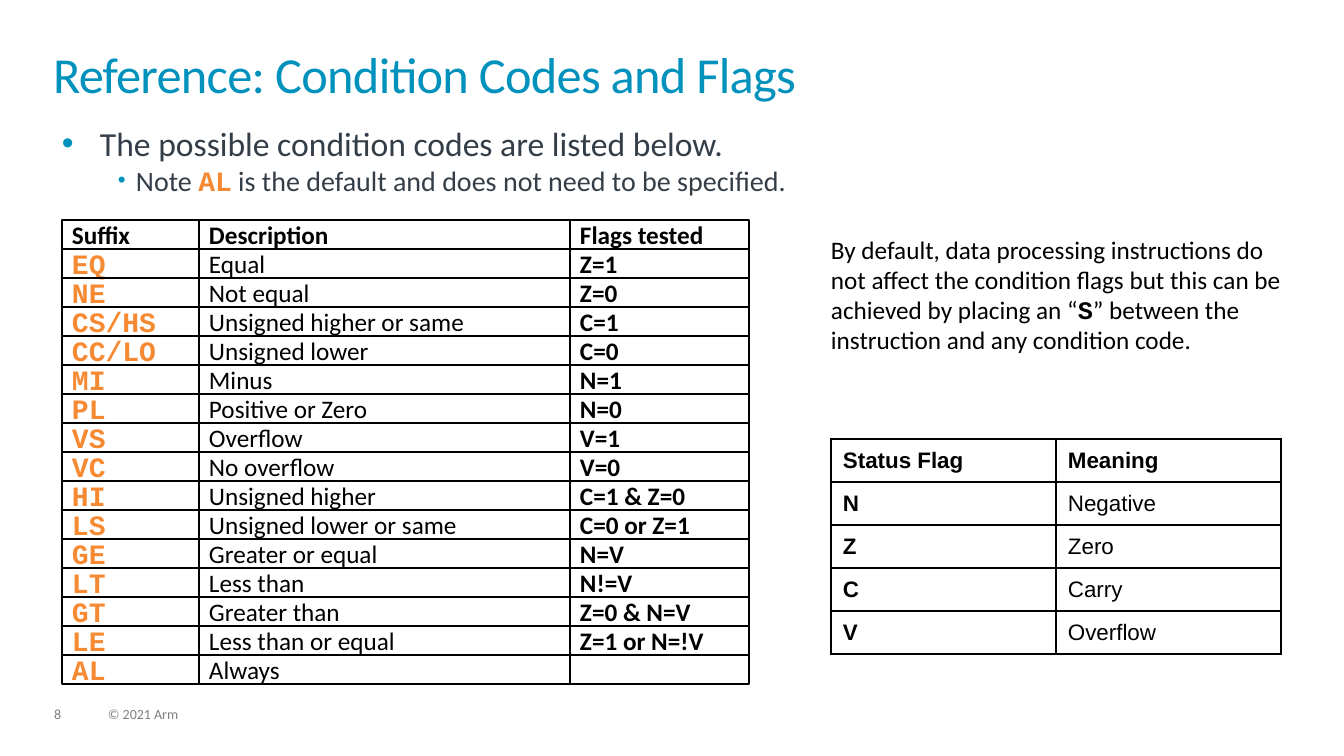
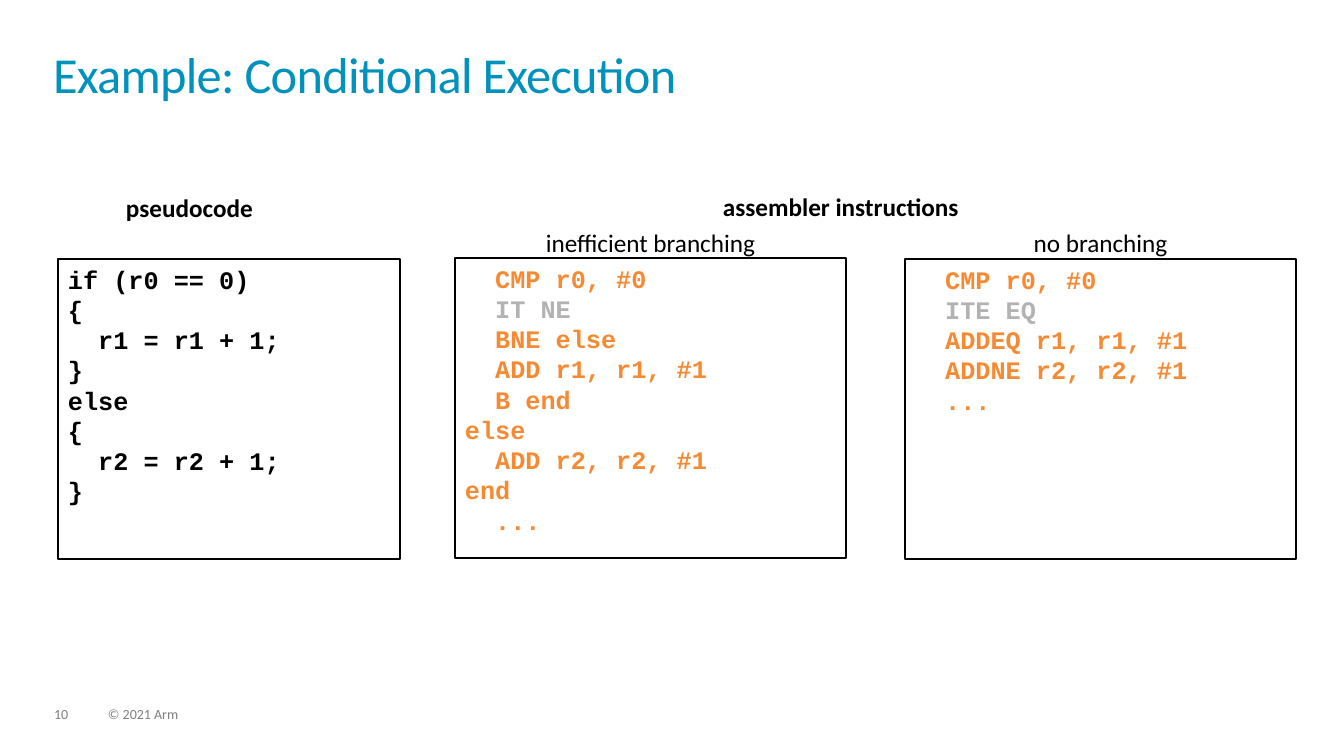
"""Build two reference slides on condition codes and conditional execution."""
from lxml import etree
from pptx import Presentation
from pptx import util as u
from pptx.dml.color import RGBColor
from pptx.enum import shapes, text
from pptx.oxml import ns

SCALE = 914400 / 100.8
COLORS = {"title": "0091BD", "body": "333E48", "accent": "F68A33",
          "muted": "B2B2B2", "footer": "7F7F7F", "black": "000000"}
STYLES = {
    "title": ("Calibri", 36, "title", False),
    "footer": ("Calibri", 10, "footer", False),
    "lead": ("Calibri", 24, "body", False),
    "note": ("Calibri", 20, "body", False),
    "suffix": ("Courier New", 20, "accent", True),
    "plain": ("Calibri", 18, "black", False),
    "strong": ("Calibri", 18, "black", True),
    "pseudocode": ("Courier New", 18, "black", True),
    "assembler": ("Courier New", 18, "accent", True),
    "optional": ("Courier New", 18, "muted", True),
    "flag": ("Arial", 16, "black", True),
    "meaning": ("Arial", 16, "black", False),
}


def write(frame, lines, margins=(0, 0), anchor=text.MSO_ANCHOR.TOP,
          align=text.PP_ALIGN.LEFT, spacing=None, wrap=True):
    """Fill a text frame with lines, each a list of (text, style) runs."""
    frame.word_wrap = wrap
    frame.auto_size = text.MSO_AUTO_SIZE.NONE
    frame.vertical_anchor = anchor
    frame.margin_left = frame.margin_right = round(margins[0] * SCALE)
    frame.margin_top = frame.margin_bottom = round(margins[1] * SCALE)
    for number, runs in enumerate(lines):
        paragraph = frame.add_paragraph() if number else frame.paragraphs[0]
        paragraph.alignment = align
        paragraph.line_spacing = spacing
        for words, style in runs:
            run = paragraph.add_run()
            run.text = words
            name, size, color, bold = STYLES[style]
            run.font.name, run.font.size, run.font.bold = name, u.Pt(size), bold
            run.font.color.rgb = RGBColor.from_string(COLORS[color])


def add_panel(slide, left, top, width, height, line_width):
    """Add an unfilled rectangle with a black outline."""
    panel = slide.shapes.add_shape(
        shapes.MSO_SHAPE.RECTANGLE, *(round(value * SCALE) for value in (left, top, width, height)))
    panel.shadow.inherit = False
    panel.fill.background()
    panel.line.color.rgb = RGBColor.from_string(COLORS["black"])
    panel.line.width = u.Pt(line_width)
    return panel


presentation = Presentation()
presentation.slide_width = round(1344 * SCALE)
presentation.slide_height = round(756 * SCALE)

slides = []
for title, number in [("Reference: Condition Codes and Flags", "8"),
                      ("Example: Conditional Execution", "10")]:
    slide = presentation.slides.add_slide(presentation.slide_layouts[5])
    slides.append(slide)
    heading = slide.shapes.title
    heading.left, heading.top, heading.width, heading.height = (
        round(value * SCALE) for value in (53, 52, 1238, 73))
    write(heading.text_frame, [[(title, "title")]], spacing=0.85)
    heading.text_frame.paragraphs[0].runs[0].font._element.set("spc", "-50")
    for left, width, words in [(54, 34, number), (108, 511, "© 2021 Arm")]:
        box = slide.shapes.add_textbox(*(round(value * SCALE) for value in (left, 707, width, 15)))
        write(box.text_frame, [[(words, "footer")]], spacing=0.9)
reference, example = slides

box = reference.shapes.add_textbox(*(round(value * SCALE) for value in (62, 123, 1233, 451)))
write(box.text_frame, [
    [("The possible condition codes are listed below.", "lead")],
    [("Note ", "note"), ("AL", "suffix"),
     (" is the default and does not need to be specified.", "note")],
])
for paragraph, indent, hanging, size in zip(box.text_frame.paragraphs, (38, 74), (38, 18), (100, 80)):
    properties = paragraph._p.get_or_add_pPr()
    properties.set("marL", str(round(indent * SCALE)))
    properties.set("indent", str(-round(hanging * SCALE)))
    color = etree.SubElement(properties, ns.qn("a:buClr"))
    etree.SubElement(color, ns.qn("a:srgbClr"), val=COLORS["title"])
    etree.SubElement(properties, ns.qn("a:buSzPct"), val=str(size * 1000))
    etree.SubElement(properties, ns.qn("a:buFont"), typeface="Arial")
    etree.SubElement(properties, ns.qn("a:buChar"), char="•")

condition_codes = [
    ("Suffix", "Description", "Flags tested"),
    ("EQ", "Equal", "Z=1"),
    ("NE", "Not equal", "Z=0"),
    ("CS/HS", "Unsigned higher or same", "C=1"),
    ("CC/LO", "Unsigned lower", "C=0"),
    ("MI", "Minus", "N=1"),
    ("PL", "Positive or Zero", "N=0"),
    ("VS", "Overflow", "V=1"),
    ("VC", "No overflow", "V=0"),
    ("HI", "Unsigned higher", "C=1 & Z=0"),
    ("LS", "Unsigned lower or same", "C=0 or Z=1"),
    ("GE", "Greater or equal", "N=V"),
    ("LT", "Less than", "N!=V"),
    ("GT", "Greater than", "Z=0 & N=V"),
    ("LE", "Less than or equal", "Z=1 or N=!V"),
    ("AL", "Always", ""),
]
code_columns = [(62, 137, "suffix"), (199, 371, "plain"), (570, 179, "strong")]
for row_index, row in enumerate(condition_codes):
    for words, (left, width, style) in zip(row, code_columns):
        panel = add_panel(reference, left, 220 + 29 * row_index, width, 29, 1)
        if words:
            write(panel.text_frame, [[(words, style if row_index else "strong")]],
                  (10, 5), text.MSO_ANCHOR.MIDDLE, wrap=False)

status_flags = [("Status Flag", "Meaning"), ("N", "Negative"), ("Z", "Zero"),
                ("C", "Carry"), ("V", "Overflow")]
table = reference.shapes.add_table(
    5, 2, *(round(value * SCALE) for value in (831, 439, 450, 215))).table
table.first_row = table.horz_banding = False
for row_index, row in enumerate(status_flags):
    for column_index, words in enumerate(row):
        cell = table.cell(row_index, column_index)
        cell.fill.background()
        cell.vertical_anchor = text.MSO_ANCHOR.MIDDLE
        cell.margin_left = cell.margin_right = round(12 * SCALE)
        cell.margin_top = cell.margin_bottom = round(4 * SCALE)
        run = cell.text_frame.paragraphs[0].add_run()
        run.text = words
        name, size, color, bold = STYLES["meaning" if row_index and column_index else "flag"]
        run.font.name, run.font.size, run.font.bold = name, u.Pt(size), bold
        run.font.color.rgb = RGBColor.from_string(COLORS[color])
        edges = {"lnL": column_index == 0, "lnR": column_index == 1,
                 "lnT": row_index == 0, "lnB": row_index == 4}
        for position, (tag, is_outer) in enumerate(edges.items()):
            border = etree.Element(ns.qn(f"a:{tag}"), w=str(u.Pt(2.25 if is_outer else 1)))
            fill = etree.SubElement(border, ns.qn("a:solidFill"))
            etree.SubElement(fill, ns.qn("a:srgbClr"), val=COLORS["black"])
            cell._tc.get_or_add_tcPr().insert(position, border)

box = reference.shapes.add_textbox(*(round(value * SCALE) for value in (822, 230, 474, 161)))
write(box.text_frame, [[
    ("By default, data processing instructions do not affect the condition flags "
     "but this can be achieved by placing an “", "plain"),
    ("S", "pseudocode"),
    ("” between the instruction and any condition code.", "plain"),
]], (9, 4))

pseudocode = ["if (r0 == 0)", "{", "  r1 = r1 + 1;", "}", "else", "{", "  r2 = r2 + 1;", "}"]
branching = ["  CMP r0, #0", "  IT NE", "  BNE else", "  ADD r1, r1, #1", "  B end",
             "else", "  ADD r2, r2, #1", "end", "  ..."]
no_branching = ["  CMP r0, #0", "  ITE EQ", "  ADDEQ r1, r1, #1", "  ADDNE r2, r2, #1", "  ..."]
for left, top, width, style, code in [(58, 259, 342, "pseudocode", pseudocode),
                                      (455, 258, 391, "assembler", branching),
                                      (905, 259, 391, "assembler", no_branching)]:
    panel = add_panel(example, left, top, width, 300, 1.25)
    write(panel.text_frame,
          [[(line, "optional" if line.startswith("  IT") else style)] for line in code], (10, 5))

for left, top, width, words, style, align, wrap in [
        (116, 187, 161, "pseudocode", "strong", text.PP_ALIGN.LEFT, False),
        (713, 186, 287, "assembler instructions", "strong", text.PP_ALIGN.LEFT, False),
        (455, 222, 391, "inefficient branching", "plain", text.PP_ALIGN.CENTER, True),
        (905, 222, 391, "no branching", "plain", text.PP_ALIGN.CENTER, True)]:
    box = example.shapes.add_textbox(*(round(value * SCALE) for value in (left, top, width, 41)))
    write(box.text_frame, [[(words, style)]], (10, 5), align=align, wrap=wrap)

presentation.save("out.pptx")
